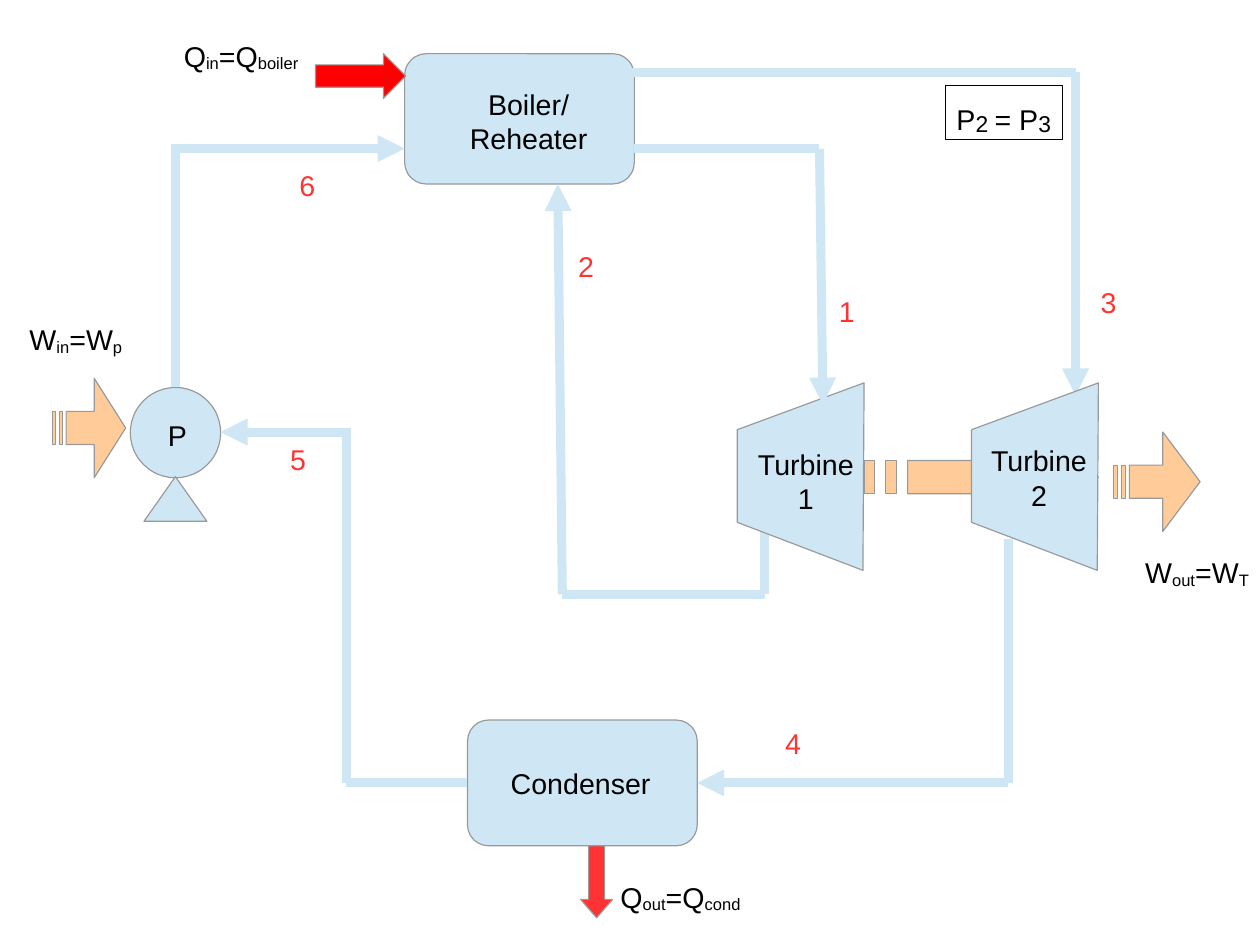
from dataclasses import dataclass

import pptx
import pptx.dml.color
import pptx.enum.shapes
import pptx.enum.text
import pptx.oxml.ns
import pptx.util

Inches = pptx.util.Inches
Pt = pptx.util.Pt
Preset = pptx.enum.shapes.MSO_SHAPE
Align = pptx.enum.text.PP_ALIGN
qn = pptx.oxml.ns.qn


@dataclass(frozen=True)
class Theme:
    font: str = "Arial"
    size: float = 18
    pressure_index: float = 24.8
    pipe_width: float = 5.67
    text: str = "000000"
    state: str = "FF3333"
    equipment: str = "CFE7F5"
    outline: str = "999999"
    work: str = "FFCC99"
    heat_in: str = "FF0000"
    heat_out: str = "FF3333"


@dataclass(frozen=True)
class Box:
    left: float
    top: float
    width: float
    height: float

    def inner(self, dx, dy, width, height):
        return Box(self.left + dx, self.top + dy, width, height)

    def point(self, dx, dy):
        return Inches(self.left + dx), Inches(self.top + dy)

    def emu(self):
        return [Inches(v) for v in (self.left, self.top, self.width, self.height)]


THEME = Theme()


def rgb(value):
    return pptx.dml.color.RGBColor.from_string(value)


def write(frame, text, *, color=THEME.text, align=Align.LEFT, wrap=False,
          index_size=THEME.size, index_shift=-8):
    frame.word_wrap = wrap
    frame.auto_size = pptx.enum.text.MSO_AUTO_SIZE.SHAPE_TO_FIT_TEXT
    frame.vertical_anchor = pptx.enum.text.MSO_ANCHOR.TOP
    for number, line in enumerate(text.split("\n")):
        paragraph = frame.add_paragraph() if number else frame.paragraphs[0]
        paragraph.alignment = align
        for position, part in enumerate(line.split("_")):
            if not part:
                continue
            is_index = position % 2 == 1
            run = paragraph.add_run()
            run.text = part
            run.font.name = THEME.font
            run.font.size = Pt(index_size if is_index else THEME.size)
            run.font.color.rgb = rgb(color)
            if is_index:
                run._r.get_or_add_rPr().set("baseline", str(index_shift * 1000))


def label(slide, box, text, **style):
    write(slide.shapes.add_textbox(*box.emu()).text_frame, text, **style)


def paint(shape, fill, outline=THEME.outline):
    shape.shadow.inherit = False
    if fill:
        shape.fill.solid()
        shape.fill.fore_color.rgb = rgb(fill)
    else:
        shape.fill.background()
    shape.line.color.rgb = rgb(outline)
    shape.line.width = Pt(0)


def preset(slide, kind, box, fill, adjustments=(), outline=THEME.outline):
    shape = slide.shapes.add_shape(kind, *box.emu())
    for index, value in enumerate(adjustments):
        shape.adjustments[index] = value
    paint(shape, fill, outline)
    return shape


def outline_shape(slide, box, contours, fill):
    placed = [[box.point(x, y) for x, y in contour] for contour in contours]
    builder = slide.shapes.build_freeform(*placed[0][0], scale=1.0)
    for number, contour in enumerate(placed):
        if number:
            builder.move_to(*contour[0])
        builder.add_line_segments(contour[1:], close=True)
    paint(builder.convert_to_shape(), fill)


def work_arrow(slide, box):
    stripe_1, gap_1, stripe_2, gap_2, neck = (
        box.width * part for part in (0.045, 0.093, 0.139, 0.186, 0.57))
    upper, lower = box.height / 3, box.height * 2 / 3

    def bar(start, end):
        return [(start, upper), (start, lower), (end, lower), (end, upper)]

    head = [(neck, 0), (box.width, box.height / 2), (neck, box.height),
            (neck, lower), (gap_2, lower), (gap_2, upper), (neck, upper)]
    outline_shape(slide, box, [head, bar(0, stripe_1), bar(gap_1, stripe_2)], THEME.work)


def vessel(slide, box, text, label_box, align=Align.LEFT):
    body = preset(slide, Preset.ROUNDED_RECTANGLE, box, THEME.equipment, [0.167])
    label(slide, box.inner(*label_box), text, align=align)
    return body


def pump(slide, box):
    preset(slide, Preset.OVAL, box.inner(0, 0, 0.79, 0.79), THEME.equipment)
    preset(slide, Preset.ISOSCELES_TRIANGLE, box.inner(0.12, 0.78, 0.55, 0.39), THEME.equipment)
    label(slide, box.inner(0.23, 0.22, 0.36, 0.56), "P", align=Align.CENTER)


def turbine(slide, box, number, label_left, label_top):
    blade = [(box.width, 0), (box.width - 0.01, box.height), (0, 1.22), (0, 0.41)]
    outline_shape(slide, box, [blade], THEME.equipment)
    label(slide, box.inner(label_left, label_top, 1.04, 0.66), f"Turbine\n{number}",
          align=Align.CENTER)


def pipe(slide, box, start, end, arrow=False):
    line = slide.shapes.add_connector(pptx.enum.shapes.MSO_CONNECTOR.STRAIGHT,
                                      *box.point(*start), *box.point(*end))
    line.line.color.rgb = rgb(THEME.equipment)
    line.line.width = Pt(THEME.pipe_width)
    properties = line._element.spPr
    if arrow:
        stroke = properties.find(qn("a:ln"))
        stroke.append(stroke.makeelement(qn("a:tailEnd"), {"type": "triangle"}))
    properties.append(properties.makeelement(qn("a:effectLst")))
    return line


def piping(slide, box, condenser):
    pipe(slide, box, (1.54, 3.39), (1.54, 1.26))
    pipe(slide, box, (1.54, 1.3), (3.54, 1.3), arrow=True)
    pipe(slide, box, (5.55, 1.3), (7.17, 1.3))
    pipe(slide, box, (6.69, 4.61), (6.69, 5.2))
    pipe(slide, box, (6.69, 5.2), (4.92, 5.2))
    pipe(slide, box, (4.92, 5.2), (4.88, 1.61), arrow=True)
    pipe(slide, box, (5.31, 0.63), (9.41, 0.63))
    pipe(slide, box, (9.41, 0.63), (9.41, 3.46), arrow=True)
    pipe(slide, box, (8.82, 4.72), (8.82, 6.85))
    pipe(slide, box, (8.82, 6.85), (6.1, 6.85), arrow=True).end_connect(condenser, 3)
    pipe(slide, box, (4.09, 6.85), (3.03, 6.85)).begin_connect(condenser, 1)
    pipe(slide, box, (3.03, 6.85), (3.03, 3.78))
    pipe(slide, box, (3.07, 3.78), (1.93, 3.78), arrow=True)


def state_numbers(slide, box):
    places = [(7.24, 2.52), (4.96, 2.13), (9.53, 2.44), (6.77, 6.3), (2.44, 3.82), (2.52, 1.42)]
    for number, (dx, dy) in enumerate(places, start=1):
        label(slide, box.inner(dx, dy, 0.39, 0.39), str(number), color=THEME.state, wrap=True)


def energy_labels(slide, box):
    label(slide, box.inner(1.51, 0.29, 1.2, 0.46), "Q_in_=Q_boiler_")
    label(slide, box.inner(5.33, 7.65, 1.25, 0.46), "Q_out_=Q_cond_")
    label(slide, box.inner(0.16, 2.77, 1.1, 0.46), "W_in_=W_p_", wrap=True)
    label(slide, box.inner(9.92, 4.81, 1.18, 0.46), "W_out_=W_T_", wrap=True)
    pressure = preset(slide, Preset.RECTANGLE, box.inner(8.27, 0.75, 1.03, 0.47), None,
                      outline=THEME.text)
    write(pressure.text_frame, "P_2 _= P_3_", index_size=THEME.pressure_index, index_shift=-4)


def reheat_cycle(slide, box):
    work_arrow(slide, box.inner(7.56, 3.74, 2.05, 0.87))
    work_arrow(slide, box.inner(9.74, 3.78, 0.76, 0.87))
    work_arrow(slide, box.inner(0.46, 3.31, 0.64, 0.87))
    pump(slide, box.inner(1.14, 3.39, 0.79, 1.17))
    condenser = vessel(slide, box.inner(4.09, 6.3, 2.01, 1.1), "Condenser",
                       (0.28, 0.35, 1.42, 0.38))
    vessel(slide, box.inner(3.54, 0.47, 2.01, 1.14), "Boiler/\nReheater",
           (0.47, 0.24, 1.23, 0.66), Align.CENTER)
    piping(slide, box, condenser)
    turbine(slide, box.inner(6.45, 3.35, 1.11, 1.64), 1, 0.08, 0.51)
    pipe(slide, box, (7.17, 1.3), (7.2, 3.54), arrow=True)
    turbine(slide, box.inner(8.5, 3.35, 1.11, 1.64), 2, 0.07, 0.48)
    preset(slide, Preset.RIGHT_ARROW, box.inner(2.76, 0.47, 0.79, 0.39), THEME.heat_in, [0.5, 0.5])
    preset(slide, Preset.DOWN_ARROW, box.inner(5.08, 7.4, 0.28, 0.63), THEME.heat_out, [0.5, 0.575])
    state_numbers(slide, box)
    energy_labels(slide, box)


def main():
    width, height = 28 / 2.54, 21 / 2.54
    deck = pptx.Presentation()
    deck.slide_width, deck.slide_height = Inches(width), Inches(height)
    slide = deck.slides.add_slide(deck.slide_layouts[6])
    reheat_cycle(slide, Box(0, 0, width, height))
    deck.save("out.pptx")


if __name__ == "__main__":
    main()
